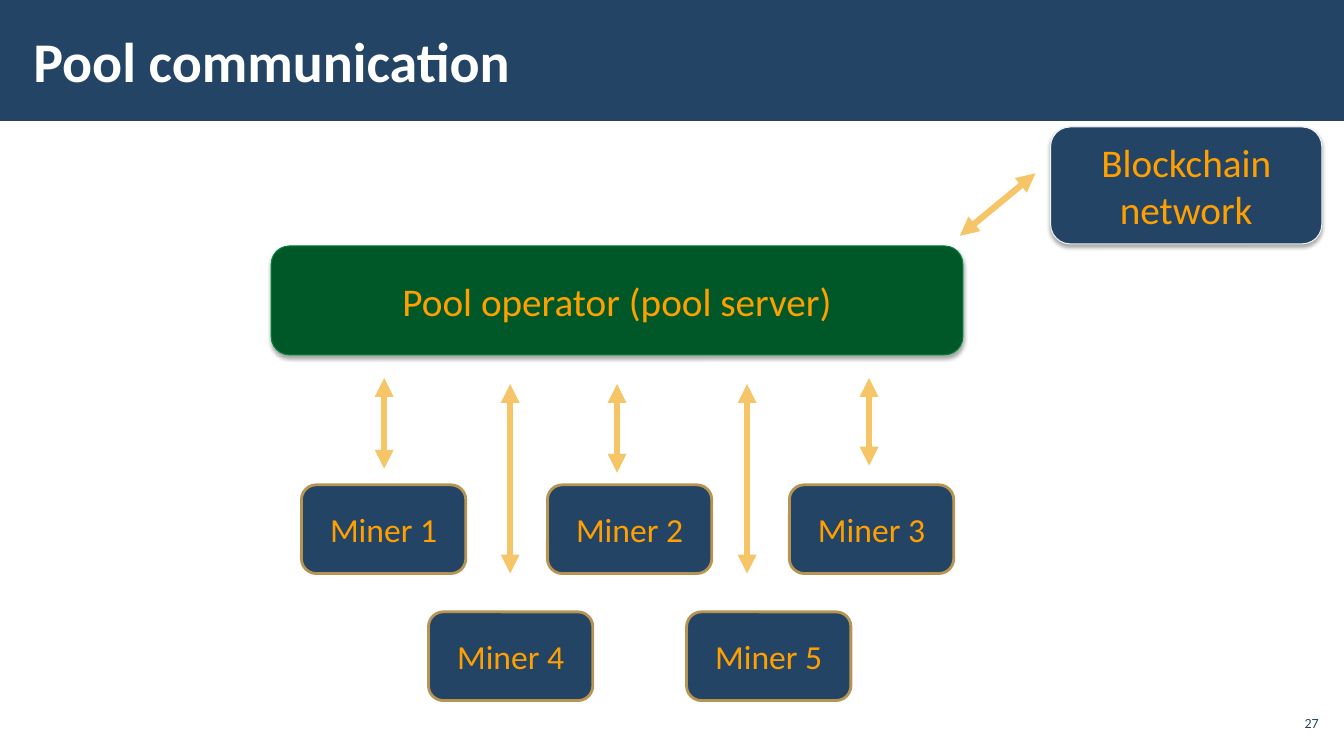
from dataclasses import dataclass

from lxml import etree
from pptx import Presentation
from pptx.dml.color import RGBColor
from pptx.enum.shapes import MSO_CONNECTOR, MSO_SHAPE
from pptx.enum.text import MSO_ANCHOR, PP_ALIGN
from pptx.oxml.ns import qn
from pptx.util import Inches, Pt

RECT, ROUND = MSO_SHAPE.RECTANGLE, MSO_SHAPE.ROUNDED_RECTANGLE
LINE = MSO_CONNECTOR.STRAIGHT
MIDDLE = MSO_ANCHOR.MIDDLE
LEFT, CENTER, RIGHT = PP_ALIGN.LEFT, PP_ALIGN.CENTER, PP_ALIGN.RIGHT

FONT = "Calibri"
COLORS = {
    "navy": "234465",
    "white": "FFFFFF",
    "green": "005828",
    "leaf": "00843C",
    "gold": "B79451",
    "pale": "EFF0F2",
    "amber": "FFA000",
    "sand": "F5C567",
    "black": "000000",
}


@dataclass
class Box:
    text: str
    left: float
    top: float
    width: float
    height: float
    fill: str = "navy"
    edge: str = "gold"
    weight: float = 2
    size: int = 24
    shadow: bool = False


@dataclass
class Arrow:
    x1: float
    y1: float
    x2: float
    y2: float


def color(name: str) -> RGBColor:
    return RGBColor.from_string(COLORS[name])


def write(shape, text: str, size: int, ink: str, align, bold: bool = False) -> None:
    frame = shape.text_frame
    frame.word_wrap = True
    frame.vertical_anchor = MIDDLE
    frame.text = text
    line = frame.paragraphs[0]
    line.alignment = align
    font = line.runs[0].font
    font.name, font.size, font.bold = FONT, Pt(size), bold
    font.color.rgb = color(ink)


def add_label(slide, text: str, area: tuple, inset: float, size: int,
              ink: str, align, bold: bool = False) -> None:
    label = slide.shapes.add_textbox(*map(Inches, area))
    frame = label.text_frame
    frame.margin_left = frame.margin_right = Inches(inset)
    frame.margin_top = frame.margin_bottom = Inches(0.04)
    write(label, text, size, ink, align, bold)


def add_shadow(shape) -> None:
    effects = shape._element.spPr.find(qn("a:effectLst"))
    outer = etree.SubElement(
        effects, qn("a:outerShdw"), blurRad=str(Pt(3.1)), dist=str(Pt(1.8)),
        dir="5400000", rotWithShape="0")
    shade = etree.SubElement(outer, qn("a:srgbClr"), val=COLORS["black"])
    etree.SubElement(shade, qn("a:alpha"), val="35000")


def add_box(slide, box: Box) -> None:
    area = map(Inches, (box.left, box.top, box.width, box.height))
    shape = slide.shapes.add_shape(ROUND, *area)
    shape.shadow.inherit = False
    shape.fill.solid()
    shape.fill.fore_color.rgb = color(box.fill)
    shape.line.color.rgb = color(box.edge)
    shape.line.width = Pt(box.weight)
    if box.shadow:
        add_shadow(shape)
    write(shape, box.text, box.size, "amber", CENTER)


def add_arrow(slide, arrow: Arrow) -> None:
    ends = map(Inches, (arrow.x1, arrow.y1, arrow.x2, arrow.y2))
    link = slide.shapes.add_connector(LINE, *ends)
    link.line.color.rgb = color("sand")
    link.line.width = Pt(4.5)
    props = link._element.spPr
    stroke = props.find(qn("a:ln"))
    for end in ("a:headEnd", "a:tailEnd"):
        etree.SubElement(stroke, qn(end), type="triangle")
    etree.SubElement(props, qn("a:effectLst"))


# Miners: a row of three above a row of two
ROWS = [(4.81, (2.99, 5.43, 7.83)), (6.07, (4.25, 6.81))]
SPOTS = [(left, top) for top, lefts in ROWS for left in lefts]
MINERS = [Box(f"Miner {number}", left, top, 1.63, 0.88)
          for number, (left, top) in enumerate(SPOTS, 1)]

SERVER = Box("Pool operator (pool server)", 2.69, 2.44, 6.86, 1.08,
             "green", "leaf", 0.75, 28, True)
CHAIN = Box("Blockchain network", 10.42, 1.26, 2.69, 1.16,
            "navy", "pale", 0.75, 28, True)

ARROWS = [
    Arrow(3.81, 4.65, 3.81, 3.75),
    Arrow(5.06, 5.69, 5.06, 3.81),
    Arrow(6.12, 4.69, 6.12, 3.81),
    Arrow(7.41, 5.69, 7.41, 3.81),
    Arrow(8.62, 4.62, 8.62, 3.75),
    Arrow(9.52, 2.34, 10.27, 1.72),
]


def main() -> None:
    deck = Presentation()
    deck.slide_width, deck.slide_height = Inches(13.33), Inches(7.5)
    slide = deck.slides.add_slide(deck.slide_layouts[6])

    # Title band and page number
    band = slide.shapes.add_shape(RECT, 0, 0, deck.slide_width, Inches(1.2))
    band.shadow.inherit = False
    band.fill.solid()
    band.fill.fore_color.rgb = color("navy")
    band.line.fill.background()
    add_label(slide, "Pool communication", (0.21, 0.11, 10.39, 0.97), 0.12,
              40, "white", LEFT, True)
    add_label(slide, "27", (12.65, 7, 0.47, 0.34), 0.04, 10, "navy", RIGHT)

    # Pool diagram
    for box in [SERVER, *MINERS, CHAIN]:
        add_box(slide, box)
    for arrow in ARROWS:
        add_arrow(slide, arrow)

    deck.save("out.pptx")


if __name__ == "__main__":
    main()
